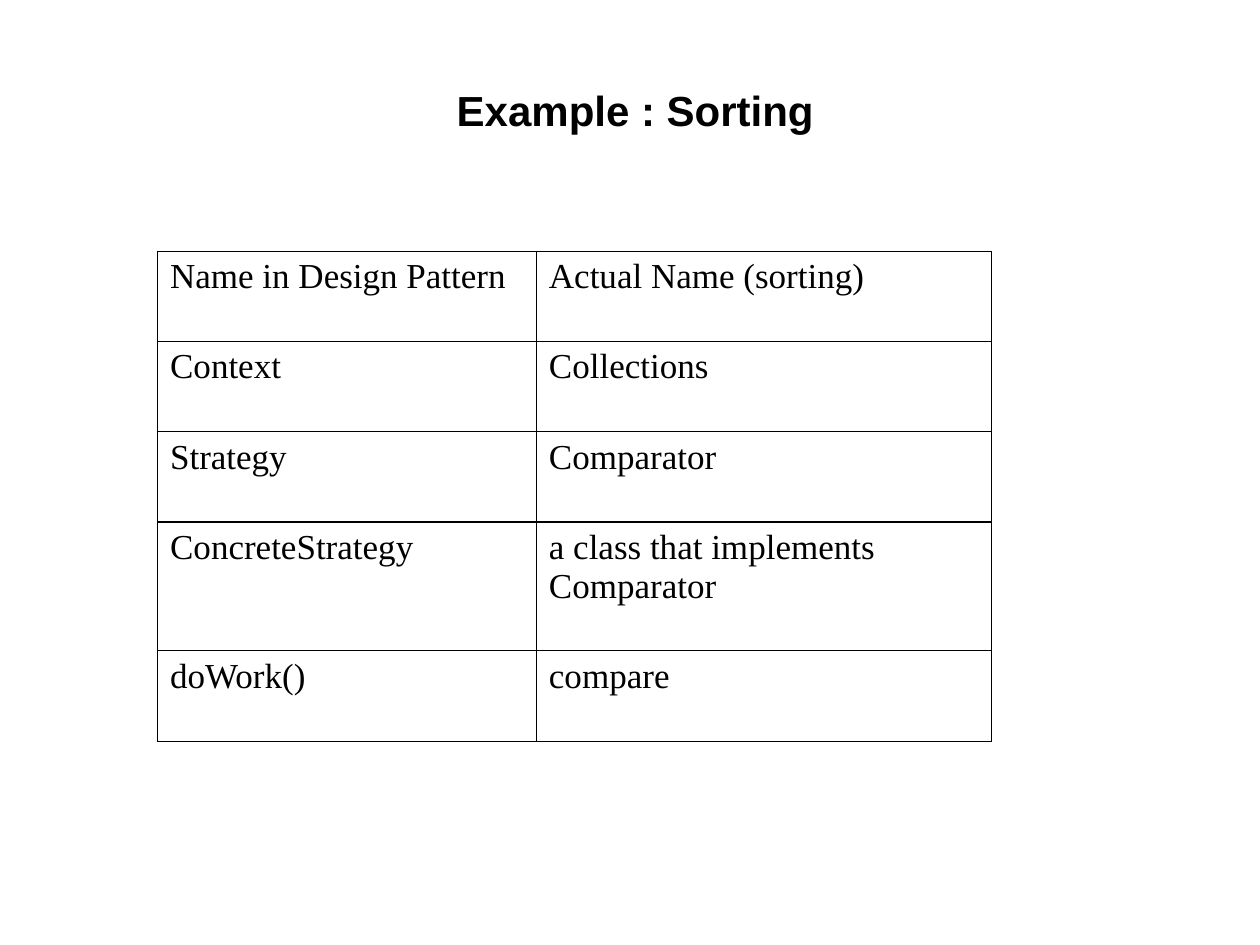
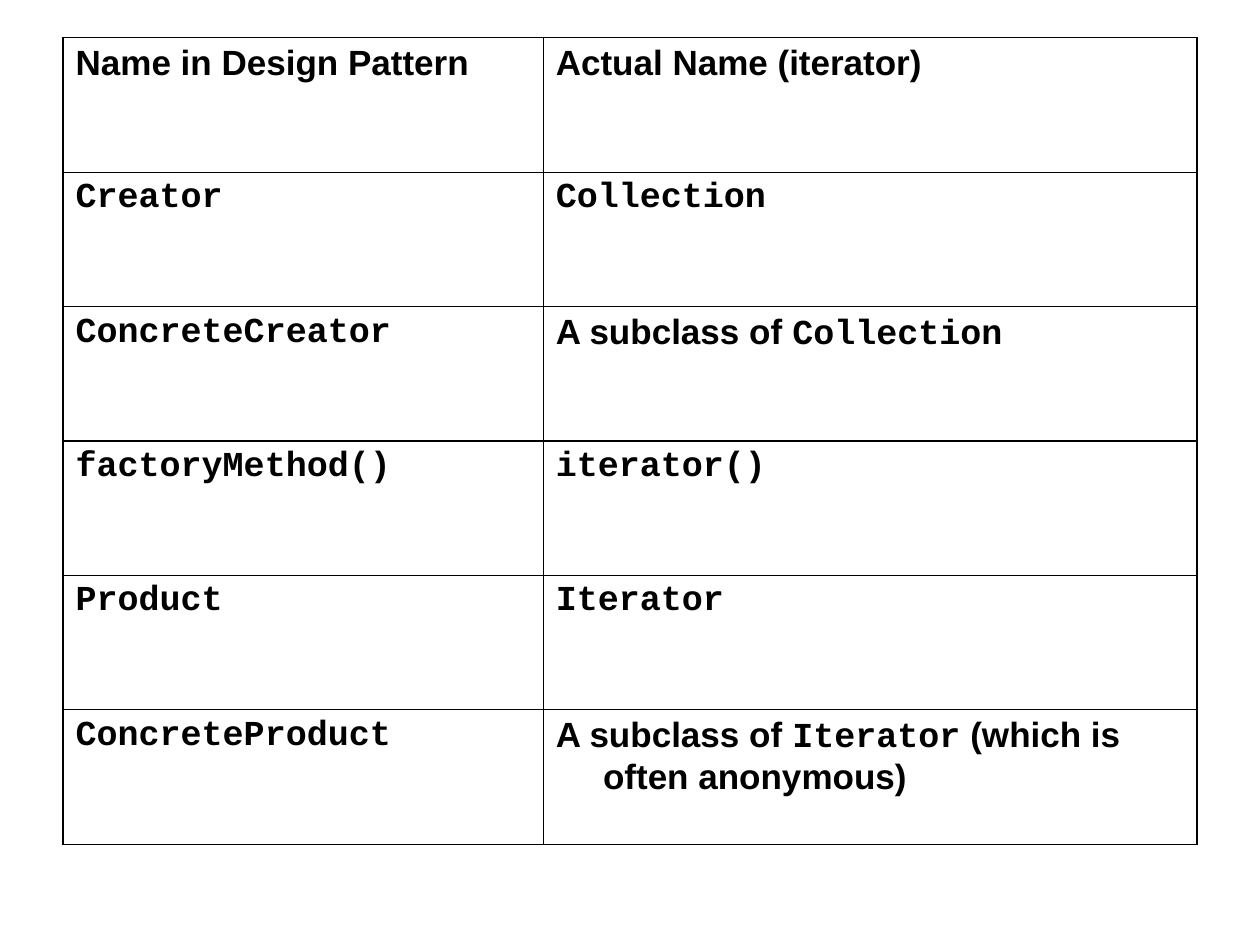
import pptx
import pptx.dml.color
import pptx.enum.text
import pptx.util
from lxml import etree
from pptx.oxml.ns import qn

Pt = pptx.util.Pt

# Shared look
INK = "000000"
PAPER = "FFFFFF"
SANS = "Arial"
SERIF = "Times New Roman"
MONO = "Courier New"
TABLE_SIZE = 20
TITLE_SIZE = 24
BORDER_WIDTH = 0.75

# Slide content: each cell is a list of (text, font) runs
SORTING_ROWS = [
    [[(text, SERIF)] for text in row]
    for row in [
        ("Name in Design Pattern", "Actual Name (sorting)"),
        ("Context", "Collections"),
        ("Strategy", "Comparator"),
        ("ConcreteStrategy", "a class that implements Comparator"),
        ("doWork()", "compare"),
    ]
]
ITERATOR_ROWS = [
    [[("Name in Design Pattern", SANS)], [("Actual Name (iterator)", SANS)]],
    [[("Creator", MONO)], [("Collection", MONO)]],
    [[("ConcreteCreator", MONO)], [("A subclass of ", SANS), ("Collection", MONO)]],
    [[("factoryMethod()", MONO)], [("iterator()", MONO)]],
    [[("Product", MONO)], [("Iterator", MONO)]],
    [[("ConcreteProduct", MONO)],
     [("A subclass of ", SANS), ("Iterator", MONO), (" (which is often anonymous)", SANS)]],
]


def color(hex_string):
    return pptx.dml.color.RGBColor.from_string(hex_string)


def add_slide(presentation):
    slide = presentation.slides.add_slide(presentation.slide_layouts[6])
    slide.background.fill.solid()
    slide.background.fill.fore_color.rgb = color(PAPER)
    return slide


def add_runs(paragraph, runs, size, bold):
    for text, font_name in runs:
        run = paragraph.add_run()
        run.text = text
        run.font.name = font_name
        run.font.size = Pt(size)
        run.font.bold = bold
        run.font.color.rgb = color(INK)


def add_title(slide, text):
    box = slide.shapes.add_textbox(Pt(66), Pt(42), Pt(594), Pt(36))
    frame = box.text_frame
    frame.word_wrap = True
    frame.margin_top = Pt(6)
    paragraph = frame.paragraphs[0]
    paragraph.alignment = pptx.enum.text.PP_ALIGN.CENTER
    add_runs(paragraph, [(text, SANS)], TITLE_SIZE, True)


def set_borders(cell):
    """Draw all four cell edges; lines must precede the fill in tcPr."""
    properties = cell._tc.get_or_add_tcPr()
    for position, edge in enumerate(("a:lnL", "a:lnR", "a:lnT", "a:lnB")):
        line = etree.Element(qn(edge), w=str(Pt(BORDER_WIDTH)))
        fill = etree.SubElement(line, qn("a:solidFill"))
        etree.SubElement(fill, qn("a:srgbClr"), val=INK)
        properties.insert(position, line)


def set_hanging_indent(paragraph, indent):
    properties = paragraph._p.get_or_add_pPr()
    properties.set("marL", str(Pt(indent)))
    properties.set("indent", str(-Pt(indent)))


def add_name_table(slide, left, top, widths, heights, rows, bold=False, indent=0):
    table = slide.shapes.add_table(
        len(rows), len(widths), Pt(left), Pt(top), Pt(sum(widths)), Pt(sum(heights))
    ).table
    table.first_row = False
    table.horz_banding = False
    for column, width in zip(table.columns, widths):
        column.width = Pt(width)
    for row_index, (height, row) in enumerate(zip(heights, rows)):
        table.rows[row_index].height = Pt(height)
        for column_index, runs in enumerate(row):
            cell = table.cell(row_index, column_index)
            cell.fill.background()
            set_borders(cell)
            paragraph = cell.text_frame.paragraphs[0]
            set_hanging_indent(paragraph, indent)
            add_runs(paragraph, runs, TABLE_SIZE, bold)


def main():
    presentation = pptx.Presentation()
    presentation.slide_width = Pt(720)
    presentation.slide_height = Pt(540)

    # Sorting: strategy pattern names
    slide = add_slide(presentation)
    add_name_table(slide, 90, 143.5, [216.5, 260], [51.6, 51.6, 51.6, 73.7, 51.6],
                   SORTING_ROWS)
    add_title(slide, "Example : Sorting")

    # Iterator: factory method pattern names
    slide = add_slide(presentation)
    add_name_table(slide, 36, 21.6, [274.4, 373.6], [76.8] * len(ITERATOR_ROWS),
                   ITERATOR_ROWS, bold=True, indent=27)

    presentation.save("out.pptx")


if __name__ == "__main__":
    main()
